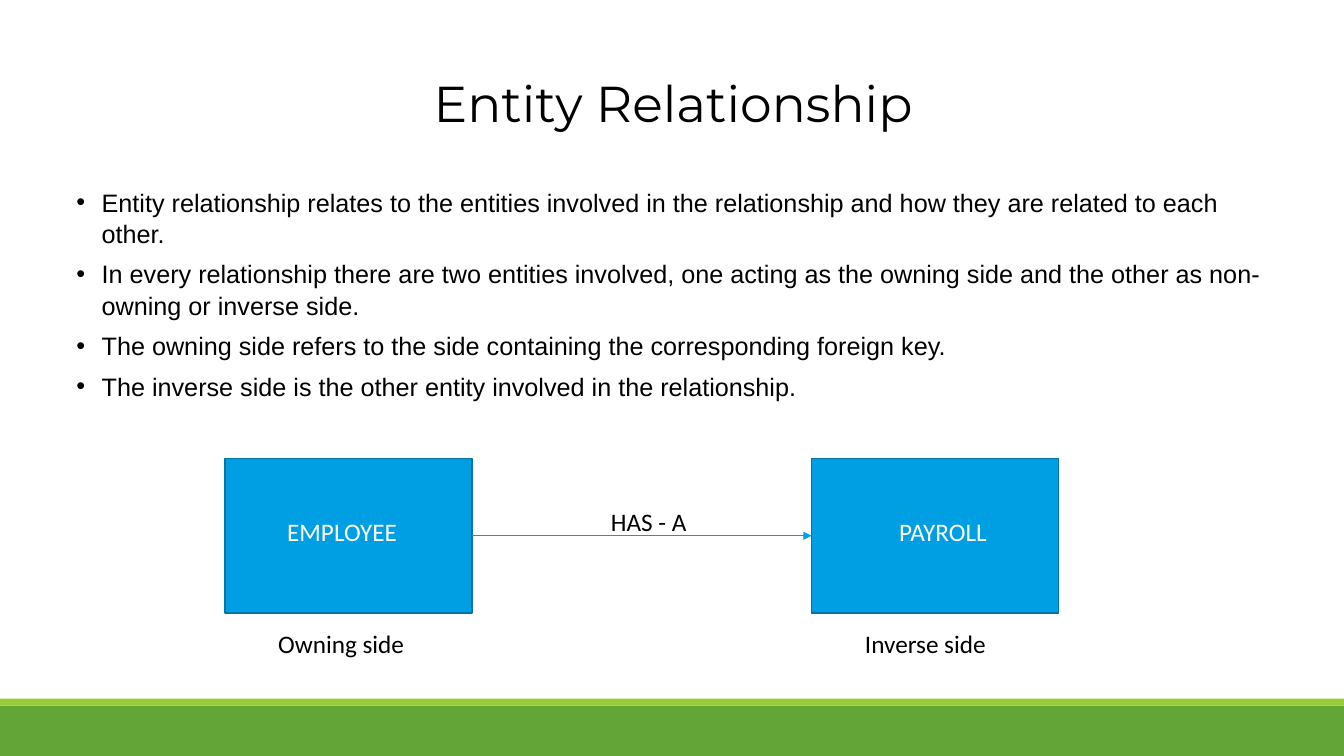
from dataclasses import dataclass

from lxml.etree import SubElement
from pptx import Presentation
from pptx.dml.color import RGBColor
from pptx.enum.shapes import MSO_CONNECTOR, MSO_SHAPE
from pptx.enum.text import MSO_ANCHOR, MSO_AUTO_SIZE, PP_ALIGN
from pptx.oxml.ns import qn
from pptx.util import Inches, Pt

WIDTH, HEIGHT = Inches(13.33), Inches(7.5)
LEFT, RIGHT = 1, 3  # connection sites of a rectangle


@dataclass(frozen=True)
class Theme:
    black: str = "000000"
    white: str = "FFFFFF"
    band: str = "63A537"
    stripe: str = "99CB38"
    entity: str = "009FE3"
    edge: str = "0076A8"
    title: tuple = ("Montserrat", 36)
    body: tuple = ("Arial", 18)
    label: tuple = ("Calibri", 18)


THEME = Theme()

BULLETS = [
    "Entity relationship relates to the entities involved in the relationship"
    " and how they are related to each other.",
    "In every relationship there are two entities involved, one acting as the"
    " owning side and the other as non-owning or inverse side.",
    "The owning side refers to the side containing the corresponding foreign key.",
    "The inverse side is the other entity involved in the relationship.",
]

# left edge, name, indent of the name, side
ENTITIES = [
    (16.73, "EMPLOYEE", 3.9, "Owning side"),
    (60.39, "PAYROLL", 5.78, "Inverse side"),
]


def place(x, y, w, h):
    """Turn percentages of the slide's size into lengths."""
    return [round(size * share / 100) for size, share in
            zip((WIDTH, HEIGHT, WIDTH, HEIGHT), (x, y, w, h))]


def add_rect(slide, box, fill, edge=None):
    sp = slide.shapes.add_shape(MSO_SHAPE.RECTANGLE, *place(*box))
    sp.shadow.inherit = False
    sp.fill.solid()
    sp.fill.fore_color.rgb = RGBColor.from_string(fill)
    if edge:
        sp.line.color.rgb = RGBColor.from_string(edge)
        sp.line.width = Pt(1)
    else:
        sp.line.fill.background()
    return sp


def add_bullet(p):
    pPr = p._p.get_or_add_pPr()
    pPr.set("marL", str(Inches(0.25)))
    pPr.set("indent", str(-Inches(0.25)))
    SubElement(pPr, qn("a:buFont"), typeface="Arial")
    SubElement(pPr, qn("a:buChar"), char="•")


def add_text(slide, box, lines, style, color=THEME.black, bullets=False,
             grow=False, **formats):
    tf = slide.shapes.add_textbox(*place(*box)).text_frame
    tf.word_wrap = True
    tf.vertical_anchor = MSO_ANCHOR.TOP
    tf.auto_size = MSO_AUTO_SIZE.SHAPE_TO_FIT_TEXT if grow else MSO_AUTO_SIZE.NONE
    name, size = style
    for i, line in enumerate(lines):
        p = tf.add_paragraph() if i else tf.paragraphs[0]
        if bullets:
            add_bullet(p)
        for key, value in formats.items():
            setattr(p, key, value)
        r = p.add_run()
        r.text = line
        for key, value in {"name": name, "size": Pt(size)}.items():
            setattr(r.font, key, value)
        r.font.color.rgb = RGBColor.from_string(color)


def add_label(slide, x, y, w, text, color=THEME.black):
    add_text(slide, (x, y, w, 5.33), [text], THEME.label, color, grow=True)


def add_arrow(slide, source, target):
    """Join the right side of source to the left side of target."""
    line = slide.shapes.add_connector(MSO_CONNECTOR.STRAIGHT, 0, 0, 0, 0)
    line.begin_connect(source, RIGHT)
    line.end_connect(target, LEFT)
    line.line.color.rgb = RGBColor.from_string(THEME.entity)
    line.line.width = Pt(0.5)
    SubElement(line.line._get_or_add_ln(), qn("a:tailEnd"), type="triangle")
    SubElement(line._element.spPr, qn("a:effectLst"))


def main():
    prs = Presentation()
    prs.slide_width, prs.slide_height = WIDTH, HEIGHT
    slide = prs.slides.add_slide(prs.slide_layouts[6])

    add_rect(slide, (0, 93.33, 100, 6.67), THEME.band)
    add_rect(slide, (0, 92.4, 100, 0.93), THEME.stripe)
    add_text(slide, (4.95, 8.93, 90.25, 16.27), ["Entity Relationship"],
             THEME.title, alignment=PP_ALIGN.CENTER)
    add_text(slide, (4.95, 23.87, 90.25, 67.6), BULLETS, THEME.body,
             bullets=True, space_after=Pt(6), line_spacing=1.05)

    boxes = [add_rect(slide, (x, 60.67, 18.38, 20.4), THEME.entity, THEME.edge)
             for x, *_ in ENTITIES]
    for x, name, indent, side in ENTITIES:
        add_label(slide, x + indent, 67.6, 12.53, name, THEME.white)
        add_label(slide, x + 3.23, 82.4, 11.93, side)
    add_label(slide, 44.71, 66.27, 12.75, "HAS - A")
    add_arrow(slide, *boxes)

    prs.save("out.pptx")


if __name__ == "__main__":
    main()
